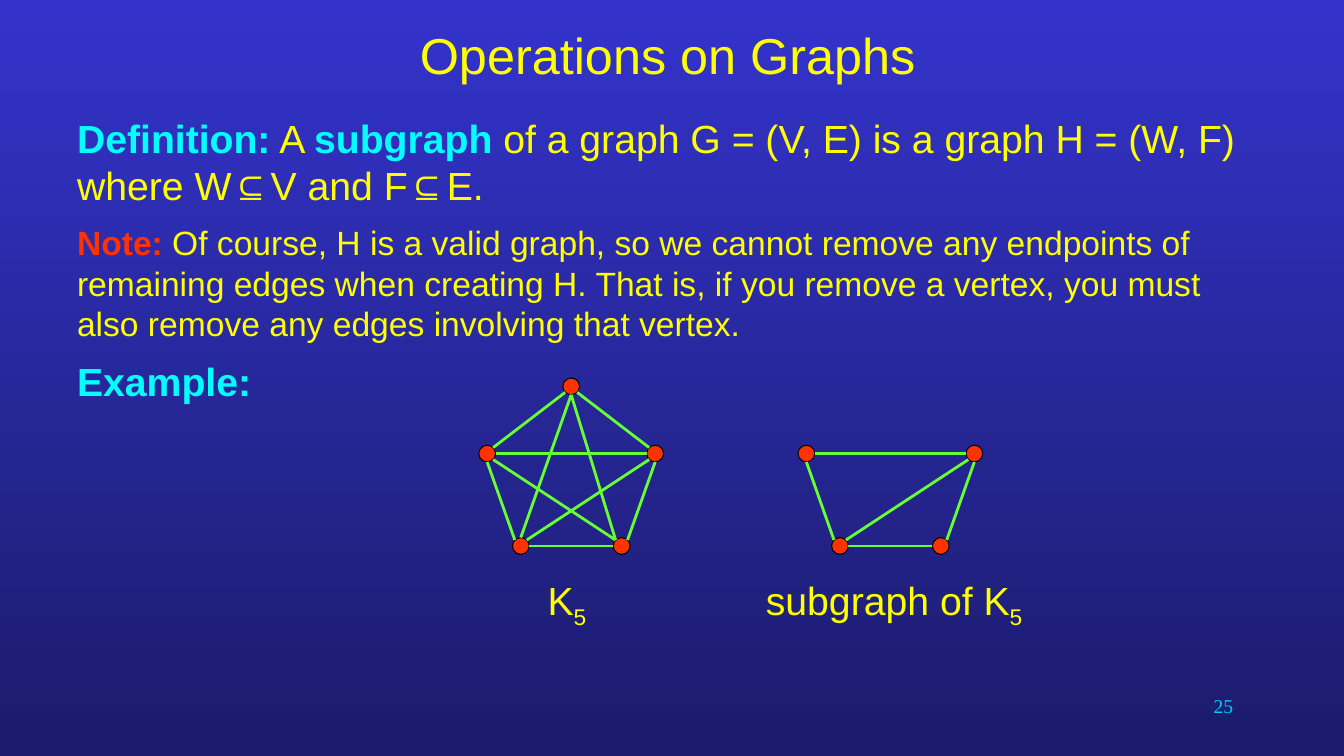
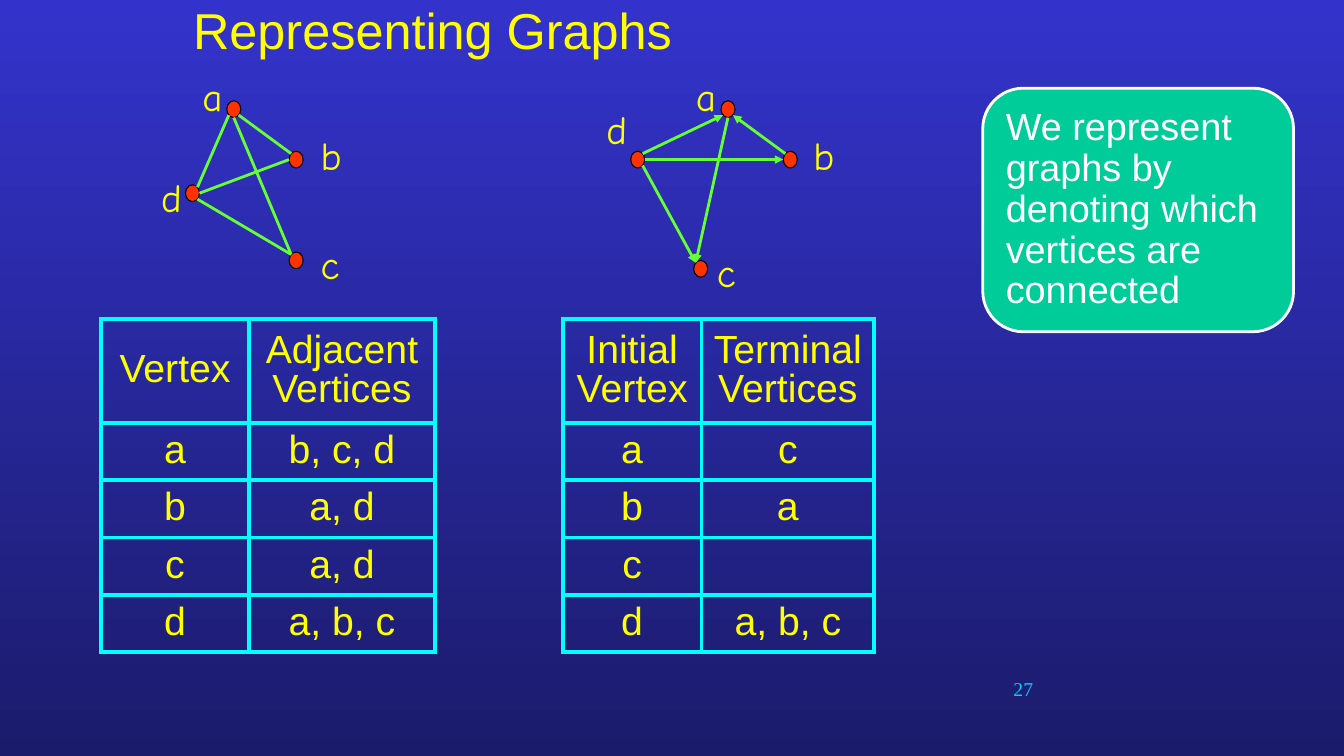
from lxml import etree
from pptx import Presentation
from pptx.dml.color import RGBColor
from pptx.enum.shapes import MSO_CONNECTOR, MSO_SHAPE
from pptx.enum.text import MSO_ANCHOR, PP_ALIGN
from pptx.oxml.ns import qn
from pptx.util import Pt

LEFT, MID, RIGHT = PP_ALIGN.LEFT, PP_ALIGN.CENTER, PP_ALIGN.RIGHT
TOP, MIDDLE = MSO_ANCHOR.TOP, MSO_ANCHOR.MIDDLE
DOT, ROUND = MSO_SHAPE.FLOWCHART_CONNECTOR, MSO_SHAPE.ROUNDED_RECTANGLE
LINE = MSO_CONNECTOR.STRAIGHT

SKY = RGBColor(0x33, 0x33, 0xCC)
NIGHT = RGBColor(0x1B, 0x1B, 0x6B)
YELLOW = RGBColor(0xFF, 0xFF, 0x00)
CYAN = RGBColor(0x00, 0xFF, 0xFF)
AQUA = RGBColor(0x00, 0xCC, 0xFF)
RED = RGBColor(0xFF, 0x33, 0x00)
LIME = RGBColor(0x66, 0xFF, 0x33)
TEAL = RGBColor(0x00, 0xCC, 0x99)
WHITE = RGBColor(0xFF, 0xFF, 0xFF)
BLACK = RGBColor(0x00, 0x00, 0x00)

SANS, HAND, SERIF = "Arial", "Comic Neue", "Times New Roman"

# Paragraphs: size, then runs of (text, colour, bold)
BODY = [
    (28, [("Definition:", CYAN, True), (" A ", YELLOW, False),
          ("subgraph", CYAN, True),
          (" of a graph G = (V, E) is a graph H = (W, F) where W⊆V and F⊆E.",
           YELLOW, False)]),
    (24, [("Note:", RED, True),
          (" Of course, H is a valid graph, so we cannot remove any endpoints "
           "of remaining edges when creating H. That is, if you remove a "
           "vertex, you must also remove any edges involving that vertex.",
           YELLOW, False)]),
    (28, [("Example:", CYAN, True)]),
]

# Dot centres; edges run from one dot's compass point to another's
FIVE = {"top": (408, 276), "left": (348, 324), "right": (468, 324),
        "low": (372, 390), "end": (444, 390)}
KEPT = [("left", "S", "low", "NW"), ("low", "E", "end", "W"),
        ("end", "NE", "right", "S"), ("left", "E", "right", "W"),
        ("low", "NE", "right", "SW")]
CUT = [("right", "NW", "top", "SE"), ("left", "NE", "top", "SW"),
       ("top", "S", "low", "N"), ("top", "S", "end", "NW"),
       ("left", "SE", "end", "NW")]
SHIFT = 228
NAMES = [("K", (384, 408, 48, 41)), ("subgraph of K", (540, 408, 216, 41))]

LINKS = [("b", "NW", "a", "SE"), ("d", "NE", "a", "SW"), ("a", "S", "c", "NW"),
         ("d", "E", "b", "W"), ("d", "SE", "c", "NW")]
PAIRS = [
    {"dots": {"a": (167, 78), "b": (211.5, 114),
              "c": (211.5, 186), "d": (137.5, 138)},
     "tags": {"a": (137.5, 48), "b": (222, 90), "c": (222, 168), "d": (108, 120)},
     "arrow": False, "left": 72, "cols": (106, 132.5),
     "rows": [("Vertex", "Adjacent Vertices"), ("a", "b, c, d"), ("b", "a, d"),
              ("c", "a, d"), ("d", "a, b, c")]},
    {"dots": {"a": (520, 78), "b": (564.5, 114),
              "c": (500.5, 192), "d": (455.5, 114)},
     "tags": {"a": (490, 48), "b": (574, 90), "c": (505, 174), "d": (426, 72)},
     "arrow": True, "left": 402, "cols": (99, 123.5),
     "rows": [("Initial Vertex", "Terminal Vertices"), ("a", "c"), ("b", "a"),
              ("c", ""), ("d", "a, b, c")]},
]
HEAD, ROW = 74, 41
CALL = "We represent graphs by denoting which vertices are connected"


def pts(*nums):
    return [Pt(n) for n in nums]


def put(para, text, size, color=YELLOW, font=SANS, bold=False):
    run = para.add_run()
    run.text = text
    run.font.size, run.font.name, run.font.bold = Pt(size), font, bold
    run.font.color.rgb = color
    return run


def box(shapes, area, align=LEFT, anchor=TOP):
    """Add a wrapping text box and return its text frame."""
    frame = shapes.add_textbox(*pts(*area)).text_frame
    frame.word_wrap = True
    frame.vertical_anchor = anchor
    frame.paragraphs[0].alignment = align
    return frame


def paint(shape, fill, edge, width):
    shape.shadow.inherit = False
    shape.fill.solid()
    shape.fill.fore_color.rgb = fill
    shape.line.color.rgb = edge
    shape.line.width = Pt(width)


def start(deck, title, area, number, spot):
    """Add a blank slide with its title and slide number."""
    slide = deck.slides.add_slide(deck.slide_layouts[6])
    put(box(slide.shapes, area, MID, MIDDLE).paragraphs[0], title, 36)
    put(box(slide.shapes, spot, RIGHT).paragraphs[0], number, 14, AQUA, SERIF)
    return slide


def rim(center, side, size):
    """Find the point of a dot's edge in a compass direction."""
    dx = ("E" in side) - ("W" in side)
    dy = ("S" in side) - ("N" in side)
    reach = 0.71 if dx and dy else 1
    return (center[0] + dx * reach * size[0] / 2,
            center[1] + dy * reach * size[1] / 2)


def graph(shapes, dots, edges, size, arrow=False):
    """Draw dots and edges as a group and return the group's shapes."""
    group = shapes.add_group_shape().shapes
    for x, y in dots.values():
        dot = group.add_shape(DOT, *pts(x - size[0] / 2, y - size[1] / 2, *size))
        paint(dot, RED, BLACK, 0.75)
    for one, out, two, into in edges:
        ends = rim(dots[one], out, size) + rim(dots[two], into, size)
        edge = group.add_connector(LINE, *pts(*ends))
        edge.line.color.rgb = LIME
        edge.line.width = Pt(2)
        props = edge.element.spPr
        if arrow:
            etree.SubElement(props.find(qn("a:ln")), qn("a:tailEnd"),
                             type="triangle")
        etree.SubElement(props, qn("a:effectLst"))
    return group


def frame_cell(cell):
    """Give a cell cyan borders on all four sides."""
    props = cell._tc.get_or_add_tcPr()
    for n, side in enumerate(("a:lnL", "a:lnR", "a:lnT", "a:lnB")):
        line = etree.Element(qn(side), w=str(Pt(3)))
        fill = etree.SubElement(line, qn("a:solidFill"))
        etree.SubElement(fill, qn("a:srgbClr"), val=str(CYAN))
        props.insert(n, line)


def grid(shapes, left, cols, rows):
    high = HEAD + ROW * (len(rows) - 1)
    table = shapes.add_table(len(rows), len(cols),
                             *pts(left, 228, sum(cols), high)).table
    table.first_row = table.horz_banding = False
    for col, width in zip(table.columns, cols):
        col.width = Pt(width)
    for r, texts in enumerate(rows):
        table.rows[r].height = Pt(ROW if r else HEAD)
        for c, text in enumerate(texts):
            cell = table.cell(r, c)
            cell.fill.background()
            cell.vertical_anchor = MIDDLE
            frame_cell(cell)
            para = cell.text_frame.paragraphs[0]
            para.alignment = MID
            para.line_spacing = 0.9
            if text:
                put(para, text, 28)


def subgraphs(deck):
    slide = start(deck, "Operations on Graphs", (138, 0, 678, 78),
                  "25", (688, 492, 200, 36))
    frame = box(slide.shapes, (48, 78, 864, 264))
    for n, (size, runs) in enumerate(BODY):
        para = frame.add_paragraph() if n else frame.paragraphs[0]
        para.space_after = Pt(10)
        for text, color, bold in runs:
            put(para, text, size, color, bold=bold)
    part = {k: (x + SHIFT, y) for k, (x, y) in FIVE.items() if k != "top"}
    graph(slide.shapes, FIVE, KEPT + CUT, (12, 12))
    graph(slide.shapes, part, KEPT, (12, 12))
    for name, area in NAMES:
        para = box(slide.shapes, area).paragraphs[0]
        put(para, name, 28)
        put(para, "5", 28).font._element.set("baseline", "-25000")


def tables(deck):
    slide = start(deck, "Representing Graphs", (30, -12, 558, 66),
                  "27", (580, 480, 165, 36))
    for pair in PAIRS:
        group = graph(slide.shapes, pair["dots"], LINKS, (10, 12), pair["arrow"])
        for tag, spot in pair["tags"].items():
            put(box(group, (*spot, 40, 41)).paragraphs[0], tag, 28, font=HAND)
        grid(slide.shapes, pair["left"], pair["cols"], pair["rows"])
    call = slide.shapes.add_shape(ROUND, *pts(702, 63, 222, 174))
    paint(call, TEAL, WHITE, 2)
    frame = call.text_frame
    frame.word_wrap = True
    frame.vertical_anchor = MIDDLE
    frame.margin_left = frame.margin_right = Pt(8)
    frame.margin_top = frame.margin_bottom = Pt(8)
    para = frame.paragraphs[0]
    para.alignment = LEFT
    para.line_spacing = 0.9
    put(para, CALL, 27, WHITE)


def main():
    deck = Presentation()
    deck.slide_width, deck.slide_height = pts(960, 540)
    fill = deck.slide_master.background.fill
    fill.gradient()
    fill.gradient_angle = 270
    for stop, color in zip(fill.gradient_stops, (SKY, NIGHT)):
        stop.color.rgb = color
    subgraphs(deck)
    tables(deck)
    deck.save("out.pptx")


if __name__ == "__main__":
    main()
